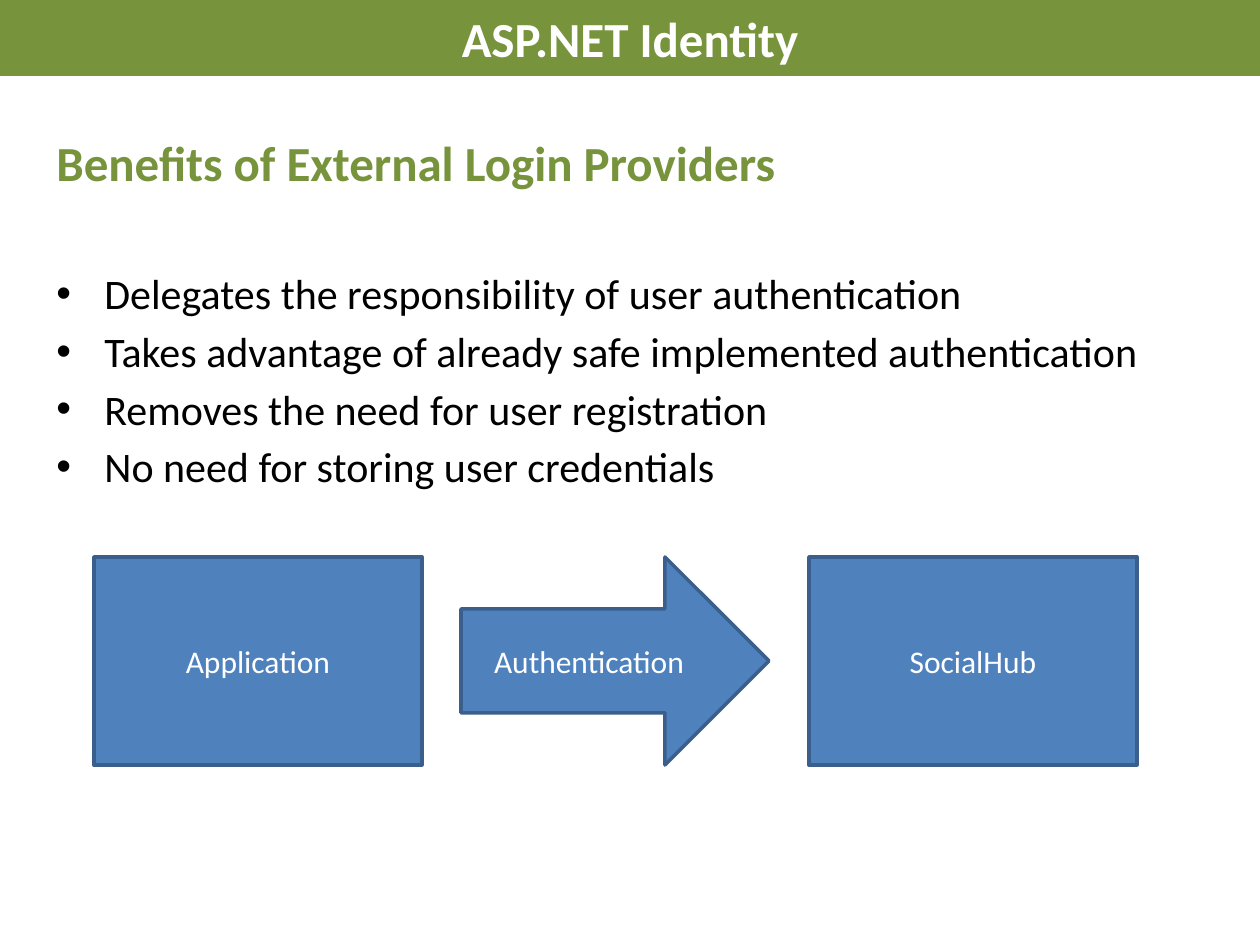
from dataclasses import dataclass

from lxml.etree import SubElement
from pptx import Presentation
from pptx.dml.color import RGBColor
from pptx.enum.shapes import MSO_SHAPE as Kind
from pptx.enum.text import MSO_ANCHOR as Anchor, PP_ALIGN as Align
from pptx.oxml.ns import qn
from pptx.util import Emu, Pt

SCALE = 914400 // 126


@dataclass(frozen=True)
class Theme:
    font: str = "Calibri"
    green: str = "77933C"
    blue: str = "4F81BD"
    edge: str = "3A5F8C"
    white: str = "FFFFFF"
    black: str = "000000"
    head: int = 28
    body: int = 24
    label: int = 18


@dataclass(frozen=True)
class Block:
    text: str
    left: int
    width: int
    kind: Kind = Kind.RECTANGLE


THEME = Theme()
TOP, HIGH = 557, 208
BLOCKS = [
    Block("Application", 94, 328),
    Block("Authentication", 461, 308, Kind.RIGHT_ARROW),
    Block("SocialHub", 809, 328),
]
POINTS = [
    "Delegates the responsibility of user authentication",
    "Takes advantage of already safe implemented authentication",
    "Removes the need for user registration",
    "No need for storing user credentials",
]


def px(size: int) -> Emu:
    return Emu(size * SCALE)


def color(code: str) -> RGBColor:
    return RGBColor.from_string(code)


def write(para, text: str, *, size: int, ink: str, bold: bool = False,
          align: Align = Align.LEFT, before: float = 0,
          bullet: bool = False) -> None:
    para.alignment = align
    para.space_before = Pt(before)
    run = para.add_run()
    run.text = text
    font = run.font
    font.name, font.size, font.bold = THEME.font, Pt(size), bold
    font.color.rgb = color(ink)
    if bullet:
        props = para._p.get_or_add_pPr()
        props.set("marL", str(px(48)))
        props.set("indent", str(-px(48)))
        SubElement(props, qn("a:buFont"), typeface="Arial")
        SubElement(props, qn("a:buChar"), char="•")


def draw(slide, block: Block, top: int, high: int, *, fill: str,
         size: int, edge: str = "", bold: bool = False) -> None:
    shape = slide.shapes.add_shape(
        block.kind, px(block.left), px(top), px(block.width), px(high))
    shape.shadow.inherit = False
    shape.fill.solid()
    shape.fill.fore_color.rgb = color(fill)
    if edge:
        shape.line.color.rgb = color(edge)
        shape.line.width = Pt(2)
    else:
        shape.line.fill.background()
    frame = shape.text_frame
    frame.word_wrap = True
    frame.vertical_anchor = Anchor.MIDDLE
    write(frame.paragraphs[0], block.text, size=size, ink=THEME.white,
          bold=bold, align=Align.CENTER)


deck = Presentation()
deck.slide_width, deck.slide_height = px(1260), px(945)
slide = deck.slides.add_slide(deck.slide_layouts[6])

# Title band
draw(slide, Block("ASP.NET Identity", 0, 1260), 0, 76,
     fill=THEME.green, size=THEME.head, bold=True)

# Heading and bullets
frame = slide.shapes.add_textbox(
    px(44), px(126), px(1181), px(694)).text_frame
frame.word_wrap = True
write(frame.paragraphs[0], "Benefits of External Login Providers",
      size=THEME.head, ink=THEME.green, bold=True)
for i, point in enumerate(POINTS):
    write(frame.add_paragraph(), point, size=THEME.body, ink=THEME.black,
          before=4.1 if i else 44, bullet=True)

# Login flow
for block in BLOCKS:
    draw(slide, block, TOP, HIGH, fill=THEME.blue, size=THEME.label,
         edge=THEME.edge)

deck.save("out.pptx")
